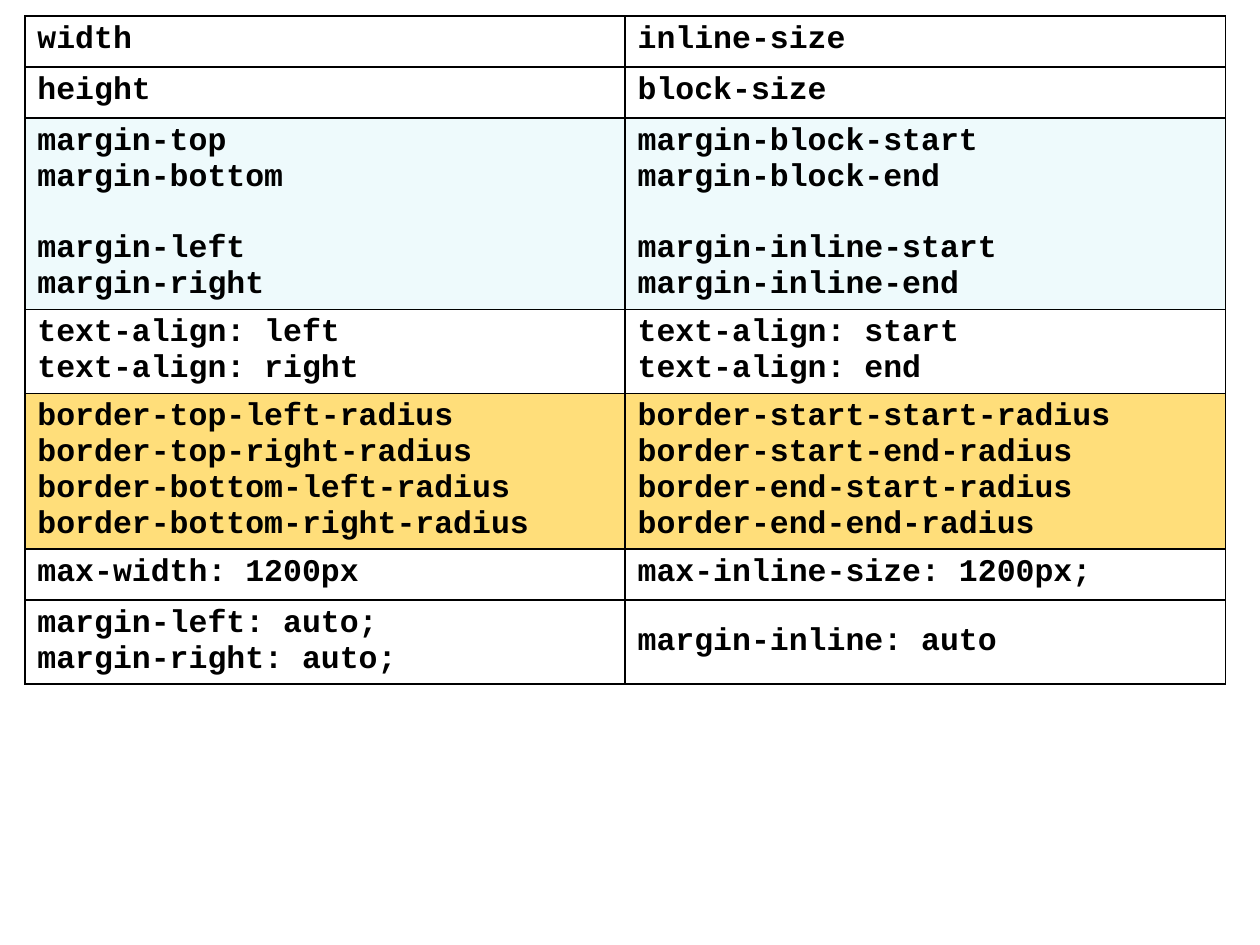
from lxml.etree import SubElement
from pptx import Presentation
from pptx.dml.color import RGBColor
from pptx.enum.text import MSO_ANCHOR
from pptx.oxml import parse_xml
from pptx.oxml.ns import nsdecls, qn
from pptx.util import Cm, Pt

COLORS = {"text": "000000", "border": "000000", "margin": "DEF5FA", "radius": "FFC000"}
FONT_NAME = "Courier New"
LINE_HEIGHT = 0.72
PADDING = 0.25
MIN_ROW_HEIGHT = 1.03
COLUMN_WIDTH = 12.1

# Physical property, logical property, fill colour and opacity in percent;
# an empty line separates groups
ROWS = [
    ("width", "inline-size", None),
    ("height", "block-size", None),
    ("margin-top\nmargin-bottom\n\nmargin-left\nmargin-right",
     "margin-block-start\nmargin-block-end\n\nmargin-inline-start\nmargin-inline-end",
     ("margin", 49)),
    ("text-align: left\ntext-align: right",
     "text-align: start\ntext-align: end", None),
    ("border-top-left-radius\nborder-top-right-radius\n"
     "border-bottom-left-radius\nborder-bottom-right-radius",
     "border-start-start-radius\nborder-start-end-radius\n"
     "border-end-start-radius\nborder-end-end-radius",
     ("radius", 52)),
    ("max-width: 1200px", "max-inline-size: 1200px;", None),
    ("margin-left: auto;\nmargin-right: auto;", "margin-inline: auto", None),
]


def row_height(text):
    lines = text.count("\n") + 1
    return Cm(max(MIN_ROW_HEIGHT, PADDING + LINE_HEIGHT * lines))


def write_text(cell, text):
    frame = cell.text_frame
    for group_index, group in enumerate(text.split("\n\n")):
        for line_index, line in enumerate(group.split("\n")):
            first = group_index == line_index == 0
            paragraph = frame.paragraphs[0] if first else frame.add_paragraph()
            paragraph.text = line
            if group_index and line_index == 0:
                paragraph.space_before = Cm(LINE_HEIGHT)
            font = paragraph.font
            font.name, font.size, font.bold = FONT_NAME, Pt(18), True
            font.color.rgb = RGBColor.from_string(COLORS["text"])


def fill_cell(cell, fill):
    if fill is None:
        cell.fill.background()
        return
    name, opacity = fill
    cell.fill.solid()
    cell.fill.fore_color.rgb = RGBColor.from_string(COLORS[name])
    color = cell._tc.tcPr.find(f".//{qn('a:srgbClr')}")
    SubElement(color, qn("a:alpha"), val=str(opacity * 1000))


def add_borders(cell):
    properties = cell._tc.get_or_add_tcPr()
    for index, side in enumerate(("lnL", "lnR", "lnT", "lnB")):
        properties.insert(index, parse_xml(
            f'<a:{side} {nsdecls("a")} w="{Pt(1)}"><a:solidFill>'
            f'<a:srgbClr val="{COLORS["border"]}"/></a:solidFill></a:{side}>'))


def add_property_table(slide):
    shape = slide.shapes.add_table(
        len(ROWS), 2, Cm(0.5), Cm(0.32), Cm(2 * COLUMN_WIDTH), Cm(13.5))
    table = shape.table
    table.first_row = table.horz_banding = False
    for row, (physical, logical, fill) in zip(table.rows, ROWS):
        row.height = row_height(physical)
        for cell, text in zip(row.cells, (physical, logical)):
            write_text(cell, text)
            fill_cell(cell, fill)
            add_borders(cell)
    return table


def main():
    presentation = Presentation()
    presentation.slide_width, presentation.slide_height = Cm(25.4), Cm(19.05)
    slide = presentation.slides.add_slide(presentation.slide_layouts[6])

    # Physical properties beside their logical equivalents
    table = add_property_table(slide)
    table.cell(len(ROWS) - 1, 1).vertical_anchor = MSO_ANCHOR.MIDDLE

    presentation.save("out.pptx")


if __name__ == "__main__":
    main()
